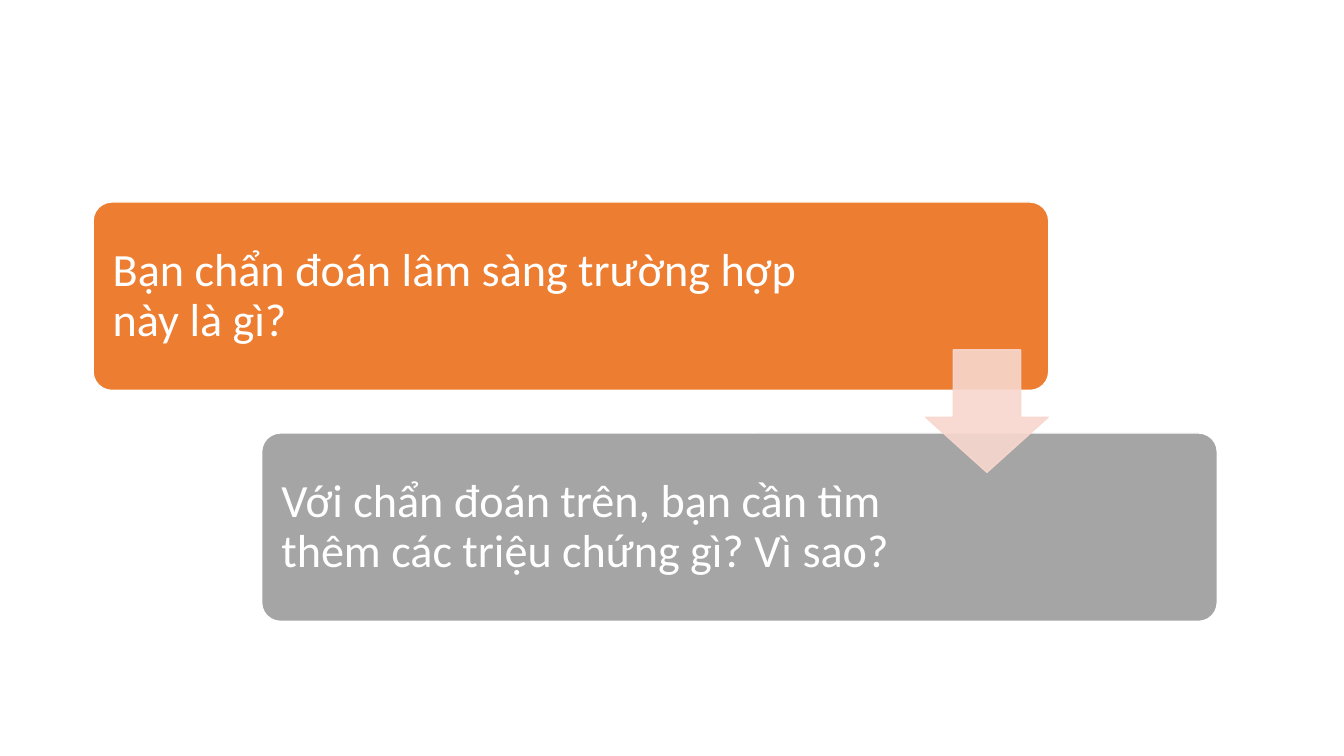
"""Build a slide with two stepped question cards joined by an arrow."""
from lxml import etree
from pptx import Presentation
from pptx.dml.color import RGBColor
from pptx.enum import shapes as es, text as et
from pptx.oxml.ns import qn
from pptx.util import Pt

WHITE = RGBColor(0xFF, 0xFF, 0xFF)
ORANGE = RGBColor(0xED, 0x7D, 0x31)
GRAY = RGBColor(0xA5, 0xA5, 0xA5)
PINK = RGBColor(0xF8, 0xD7, 0xCE)
KIND = es.MSO_SHAPE

deck = Presentation()
deck.slide_width, deck.slide_height = Pt(960), Pt(540)
slide = deck.slides.add_slide(deck.slide_layouts[6])


def draw(kind, box, fill, line, *adjs):
    item = slide.shapes.add_shape(kind, *map(Pt, box))
    item.shadow.inherit = False
    for i, adj in enumerate(adjs):
        item.adjustments[i] = adj
    item.fill.solid()
    item.fill.fore_color.rgb = fill
    item.line.color.rgb = line
    item.line.width = Pt(1)
    return item


def write(words, box, size=33, font="Calibri", color=WHITE, inset=10.08):
    frame = slide.shapes.add_textbox(*map(Pt, box)).text_frame
    frame.word_wrap = True
    frame.vertical_anchor = et.MSO_ANCHOR.MIDDLE
    frame.margin_left = frame.margin_right = Pt(inset)
    frame.margin_top = frame.margin_bottom = Pt(inset)
    para = frame.paragraphs[0]
    para.line_spacing = 0.9
    run = para.add_run()
    run.text = words
    run.font.size = Pt(size)
    run.font.name = font
    run.font.color.rgb = color


cards = [
    ("Bạn chẩn đoán lâm sàng trường hợp này là gì?", ORANGE, 542.9),
    ("Với chẩn đoán trên, bạn cần tìm thêm các triệu chứng gì? Vì sao?", GRAY, 466.6),
]
WIDE, HIGH, PAD = 682.6, 134.6, 3.95
for i, (words, fill, span) in enumerate(cards):
    left, top = 66.5 + i * 120.4, 144.3 + i * 165
    draw(KIND.ROUNDED_RECTANGLE, (left, top, WIDE, HIGH), fill, WHITE, 0.1)
    write(words, (left + PAD, top + PAD, span, HIGH - 2 * PAD))

arrow = draw(KIND.DOWN_ARROW, (661.2, 249.9, 87.5, 87.5), PINK, PINK, 0.55, 0.45)
for tint in arrow.element.spPr.iter(qn("a:srgbClr")):
    etree.SubElement(tint, qn("a:alpha")).set("val", "90000")

deck.save("out.pptx")
